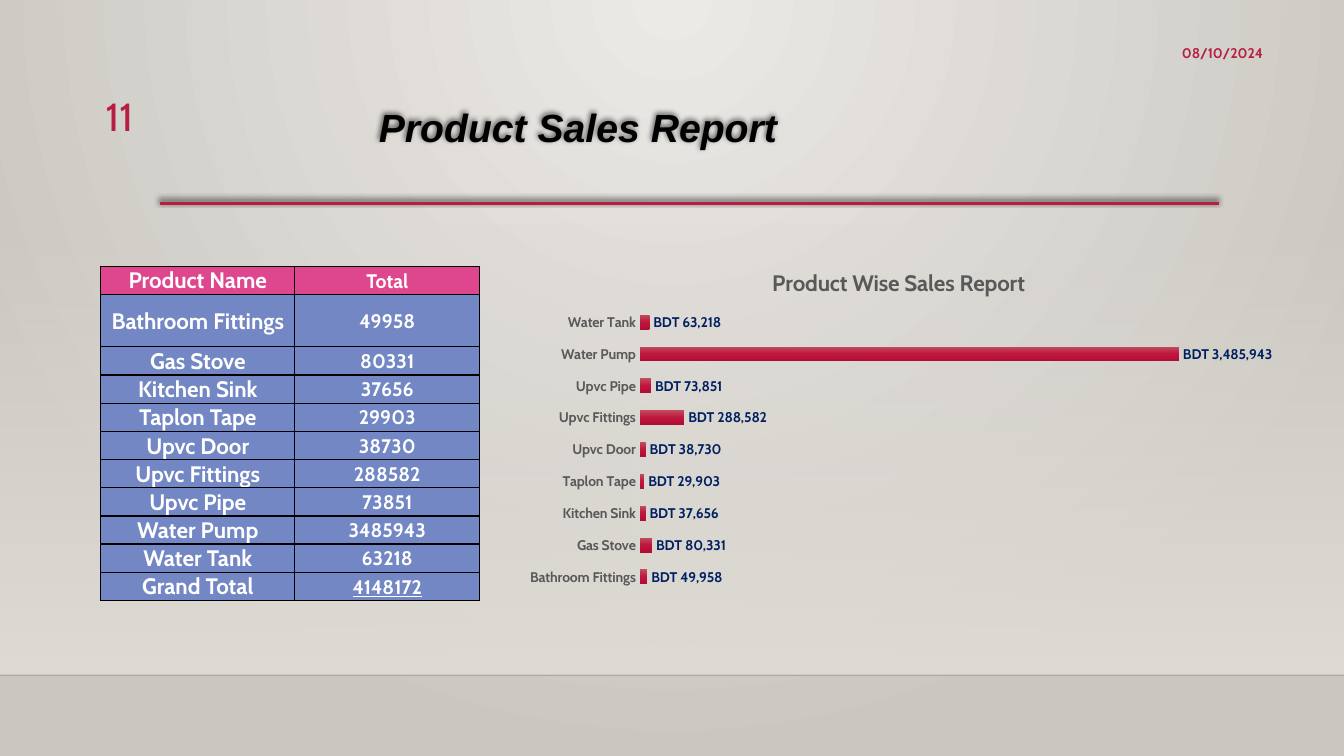
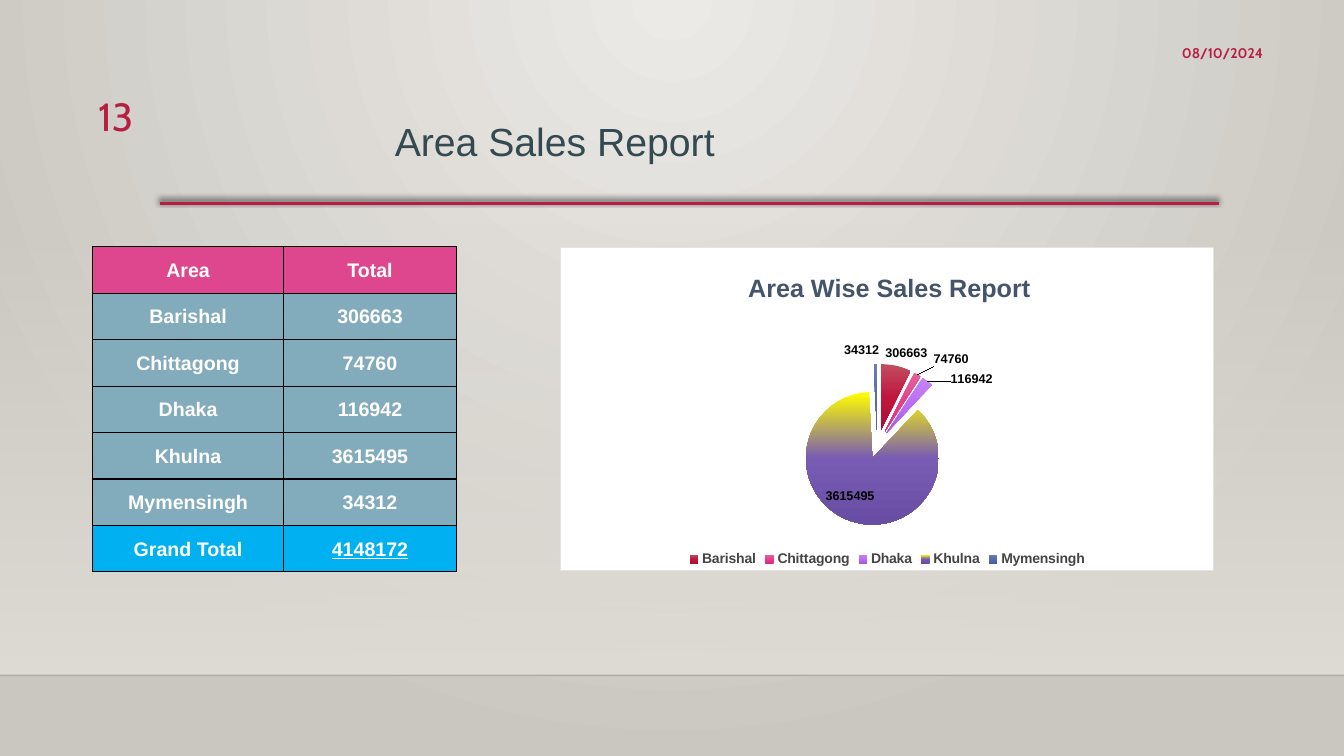
from lxml import etree
from pptx import Presentation
from pptx.chart.data import CategoryChartData
from pptx.dml.color import RGBColor
from pptx.enum import chart as charts, shapes, text
from pptx.oxml import parse_xml
from pptx.oxml.ns import nsdecls, qn
from pptx.util import Cm, Pt

COLORS = {
    "accent": "B71E42", "black": "000000", "white": "FFFFFF", "slate": "334A51",
    "center": "ECEAE7", "edge": "CAC7C1", "wall": "DFDBD5", "header": "DE478E",
    "blue": "7287C4", "teal": "82ABBC", "total": "00B0F0", "grey": "595959",
    "navy": "002060", "axis": "D9D9D9", "border": "E3E3E3", "legend": "454545",
    "heading": "44546A",
}
RED = ("C24E5F", "BF163E", "B00D33")
SLICES = (RED, ("E3639B", "E63F8E", "D5307D"), ("C484F3", "BD6CF6", "A958E3"),
          ("FFFF00", "785BB3", "694CA4"), ("6E7FB0", "546CAA", "475F9A"))
BODY, PLAIN = "Cabin", "Arial"
LINEAR = '<a:lin ang="5400000" scaled="0"/>'
RADIAL = '<a:path path="circle"><a:fillToRect l="43000" r="43000" b="100000"/></a:path>'
DATE = "08/10/2024"
PRODUCTS = (("Bathroom Fittings", 49958), ("Gas Stove", 80331), ("Kitchen Sink", 37656),
            ("Taplon Tape", 29903), ("Upvc Door", 38730), ("Upvc Fittings", 288582),
            ("Upvc Pipe", 73851), ("Water Pump", 3485943), ("Water Tank", 63218))
AREAS = (("Barishal", 306663), ("Chittagong", 74760), ("Dhaka", 116942),
         ("Khulna", 3615495), ("Mymensingh", 34312))


def rgb(name):
    """Return the named colour."""
    return RGBColor.from_string(COLORS[name])


def style(font, size, color, name=BODY, bold=False):
    """Set the usual properties of a font."""
    font.size, font.name, font.bold = Pt(size), name, bold
    font.color.rgb = rgb(color)


def paint_gradient(fill, colors, direction=LINEAR, fade=False):
    """Fill with evenly spaced colours, optionally fading in from clear."""
    stops = ""
    for index, color in enumerate(colors):
        alpha = '<a:alpha val="0"/>' if fade and index == 0 else ""
        place = round(100000 * index / (len(colors) - 1))
        stops += f'<a:gs pos="{place}"><a:srgbClr val="{color}">{alpha}</a:srgbClr></a:gs>'
    fill.solid()
    properties = fill._xPr
    properties.replace(properties.find(qn("a:solidFill")), parse_xml(
        f'<a:gradFill {nsdecls("a")} rotWithShape="1"><a:gsLst>{stops}</a:gsLst>'
        f'{direction}</a:gradFill>'))


def add_effect(shape, shadow=False):
    """Give a shape a soft shadow or none at all."""
    effect = (f'<a:outerShdw blurRad="{Pt(4)}" dist="{Pt(3)}" dir="14700000" rotWithShape="0">'
              '<a:srgbClr val="000000"><a:alpha val="60000"/></a:srgbClr></a:outerShdw>')
    shape._element.spPr.append(parse_xml(
        f'<a:effectLst {nsdecls("a")}>{effect if shadow else ""}</a:effectLst>'))


def add_rule(page, left, right, top, color, width, shadow=False):
    """Draw a horizontal line."""
    rule = page.shapes.add_connector(shapes.MSO_CONNECTOR.STRAIGHT, left, top, right, top)
    rule.line.color.rgb = rgb(color)
    rule.line.width = Pt(width)
    add_effect(rule, shadow)
    return rule


def add_text(page, box, words, size, color, name=BODY, bold=False, right=False, middle=False):
    """Place one line of text in a box."""
    label = page.shapes.add_textbox(*box)
    frame = label.text_frame
    frame.word_wrap = True
    frame.text = words
    frame.vertical_anchor = text.MSO_ANCHOR.MIDDLE if middle else text.MSO_ANCHOR.TOP
    frame.paragraphs[0].alignment = text.PP_ALIGN.RIGHT if right else text.PP_ALIGN.LEFT
    style(frame.paragraphs[0].runs[0].font, size, color, name, bold)
    return label


def add_page(deck, number):
    """Add a page with the shared backdrop, rules, number and date."""
    page = deck.slides.add_slide(deck.slide_layouts[6])
    paint_gradient(page.background.fill, (COLORS["center"], COLORS["edge"]), RADIAL)
    floor = Cm(17.02)
    wall = page.shapes.add_shape(shapes.MSO_SHAPE.RECTANGLE, 0, Cm(5.61),
                                 deck.slide_width, floor - Cm(5.61))
    wall.shadow.inherit = False
    wall.line.fill.background()
    paint_gradient(wall.fill, (COLORS["wall"],) * 2, fade=True)
    skirting = add_rule(page, 0, deck.slide_width, floor, "black", 1)
    shade = skirting._element.spPr.find(".//" + qn("a:srgbClr"))
    etree.SubElement(shade, qn("a:alpha")).set("val", "20000")
    add_rule(page, Cm(4.04), Cm(30.73), Cm(5.13), "accent", 2.5, shadow=True)
    add_text(page, (Cm(1.35), Cm(2.21), Cm(2.26), Cm(1.4)), number, 28, "accent", right=True)
    add_text(page, (Cm(22.3), Cm(0.84), Cm(9.78), Cm(0.97)), DATE, 10, "accent",
             bold=True, right=True, middle=True)
    return page


def fill_cell(cell, words, size, fill, name):
    """Write, fill and outline one table cell."""
    cell.margin_left = cell.margin_right = cell.margin_top = Cm(0.03)
    cell.margin_bottom = 0
    cell.vertical_anchor = text.MSO_ANCHOR.MIDDLE
    cell.text = words
    para = cell.text_frame.paragraphs[0]
    para.alignment = text.PP_ALIGN.CENTER
    style(para.runs[0].font, size, "white", name, True)
    cell.fill.solid()
    cell.fill.fore_color.rgb = rgb(fill)
    for index, side in enumerate("LRTB"):
        cell._tc.get_or_add_tcPr().insert(index, parse_xml(
            f'<a:ln{side} {nsdecls("a")} w="{Pt(1)}"><a:solidFill>'
            f'<a:srgbClr val="{COLORS["black"]}"/></a:solidFill></a:ln{side}>'))


def add_sales_table(page, left, top, widths, heights, heading, sales, fills, sizes, name):
    """Place a two-column sales table with a header and a grand total."""
    rows = [(heading, "Total"), *sales, ("Grand Total", sum(value for _, value in sales))]
    table = page.shapes.add_table(len(rows), 2, left, top, sum(widths), sum(heights)).table
    table.first_row = table.horz_banding = False
    for column, width in zip(table.columns, widths):
        column.width = width
    row_fills = ["header"] + [fills[0]] * len(sales) + [fills[1]]
    for index, (row, height) in enumerate(zip(table.rows, heights)):
        row.height = height
        for cell, words, size in zip(row.cells, rows[index], sizes):
            fill_cell(cell, str(words), size, row_fills[index], name)
    cell.text_frame.paragraphs[0].runs[0].font.underline = True


def make_layout(x, y, width=None, height=None):
    """Build a manual chart layout from fractions of the chart."""
    parts = {"x": x, "y": y}
    modes = '<c:xMode val="edge"/><c:yMode val="edge"/>'
    if width:
        modes = '<c:layoutTarget val="inner"/>' + modes
        parts.update(w=width, h=height)
    sizes = "".join(f'<c:{key} val="{value}"/>' for key, value in parts.items())
    return parse_xml(f'<c:layout {nsdecls("c")}><c:manualLayout>{modes}{sizes}'
                     '</c:manualLayout></c:layout>')


def put_layout(parent, layout, after=None):
    """Replace the layout of a chart part."""
    old = parent.find(qn("c:layout"))
    if old is not None:
        parent.remove(old)
    if after is None:
        parent.insert(0, layout)
    else:
        parent.find(qn(after)).addnext(layout)


def add_sales_chart(page, box, kind, sales, title, title_place, plot_box, back):
    """Place a sales chart with its title, plot position and background."""
    data = CategoryChartData()
    data.categories = [name for name, _ in sales]
    data.add_series("Series 1", [value for _, value in sales])
    chart = page.shapes.add_chart(kind, *box, data).chart
    style(chart.font, 10, "black")
    chart.has_legend = False
    chart.has_title = True
    chart.chart_title.text_frame.text = title
    put_layout(chart.chart_title._element, make_layout(*title_place), "c:tx")
    space = chart._chartSpace
    put_layout(space.find(".//" + qn("c:plotArea")), make_layout(*plot_box))
    space.find(qn("c:chart")).addnext(parse_xml(
        f'<c:spPr {nsdecls("c", "a")}>{back}</c:spPr>'))
    labels = chart.plots[0].series[0].data_labels
    labels.show_value = True
    return chart, labels


def add_product_chart(page, box):
    """Place the bar chart of sales by product."""
    chart, labels = add_sales_chart(
        page, box, charts.XL_CHART_TYPE.BAR_CLUSTERED, PRODUCTS, "Product Wise Sales Report",
        (0.33, 0.05), (0.16, 0.17, 0.82, 0.81), "<a:noFill/><a:ln><a:noFill/></a:ln>")
    style(chart.chart_title.text_frame.paragraphs[0].runs[0].font, 16, "grey", bold=True)
    plot = chart.plots[0]
    plot.vary_by_categories = False
    plot.gap_width, plot.overlap = 115, -20
    paint_gradient(plot.series[0].format.fill, RED)
    labels.position = charts.XL_LABEL_POSITION.OUTSIDE_END
    labels.number_format = r"[$BDT]\ #,##0"
    labels.number_format_is_linked = False
    style(labels.font, 10, "navy", bold=True)
    axis = chart.category_axis
    axis.major_tick_mark = charts.XL_TICK_MARK.NONE
    axis.format.line.color.rgb = rgb("axis")
    axis.format.line.width = Pt(1)
    style(axis.tick_labels.font, 10, "grey", bold=True)
    chart.value_axis.visible = False
    chart.value_axis.has_major_gridlines = False
    chart.value_axis.minimum_scale, chart.value_axis.maximum_scale = 0, 4000000


def add_area_chart(page, box):
    """Place the exploded pie chart of sales by area."""
    back = (f'<a:solidFill><a:srgbClr val="{COLORS["white"]}"/></a:solidFill>'
            f'<a:ln w="{Pt(0.75)}"><a:solidFill><a:srgbClr val="{COLORS["border"]}"/>'
            '</a:solidFill></a:ln>')
    chart, labels = add_sales_chart(
        page, box, charts.XL_CHART_TYPE.PIE, AREAS, "Area Wise Sales Report",
        (0.28, 0.06), (0.36, 0.36, 0.25, 0.5), back)
    style(chart.chart_title.text_frame.paragraphs[0].runs[0].font, 18, "heading", PLAIN, True)
    chart.has_legend = True
    chart.legend.position = charts.XL_LEGEND_POSITION.BOTTOM
    chart.legend.include_in_layout = False
    style(chart.legend.font, 10, "legend", PLAIN, True)
    plot = chart.plots[0]
    plot.vary_by_categories = True
    series = plot.series[0]
    for index, colors in enumerate(SLICES):
        paint_gradient(series.points[index].format.fill, colors)
    series._element.find(qn("c:dPt")).addprevious(
        parse_xml(f'<c:explosion {nsdecls("c")} val="22"/>'))
    labels.position = charts.XL_LABEL_POSITION.BEST_FIT
    style(labels.font, 9, "black", PLAIN, True)
    for index, x, y in ((1, 0.02, -0.01), (2, 0.03, 0.03)):
        label = series.points[index].data_label
        style(label.font, 9, "black", PLAIN, True)
        label.position = charts.XL_LABEL_POSITION.BEST_FIT
        element = series._element.xpath(f'c:dLbls/c:dLbl[c:idx/@val="{index}"]')[0]
        put_layout(element, parse_xml(
            f'<c:layout {nsdecls("c")}><c:manualLayout><c:x val="{x}"/><c:y val="{y}"/>'
            '</c:manualLayout></c:layout>'), "c:idx")


def build_product_page(deck):
    """Build the page of sales by product."""
    page = add_page(deck, "11")
    heights = [Cm(0.71), Cm(1.32)] + [Cm(0.71)] * len(PRODUCTS)
    add_sales_table(page, Cm(2.54), Cm(6.71), (Cm(4.89), Cm(4.66)), heights, "Product Name",
                    PRODUCTS, ("blue", "blue"), (16, 14), BODY)
    add_product_chart(page, (Cm(13.08), Cm(6.2), Cm(19.02), Cm(8.92)))
    title = add_text(page, (Cm(9.3), Cm(2.49), Cm(12.14), Cm(1.45)), "Product Sales Report",
                     28, "black", PLAIN, bold=True)
    title.text_frame.paragraphs[0].runs[0].font.italic = True
    add_effect(title, shadow=True)


def build_area_page(deck):
    """Build the page of sales by area."""
    page = add_page(deck, "13")
    heights = [Cm(1.17)] * (len(AREAS) + 2)
    add_sales_table(page, Cm(2.34), Cm(6.22), (Cm(4.8), Cm(4.37)), heights, "Area",
                    AREAS, ("teal", "total"), (14, 14), PLAIN)
    add_area_chart(page, (Cm(14.12), Cm(6.22), Cm(16.48), Cm(8.18)))
    add_text(page, (Cm(9.7), Cm(2.82), Cm(10.59), Cm(1.45)), "Area Sales Report",
             28, "slate", PLAIN)


def main():
    """Build and save the deck."""
    deck = Presentation()
    deck.slide_width, deck.slide_height = Cm(33.87), Cm(19.05)
    build_product_page(deck)
    build_area_page(deck)
    deck.save("out.pptx")


if __name__ == "__main__":
    main()
